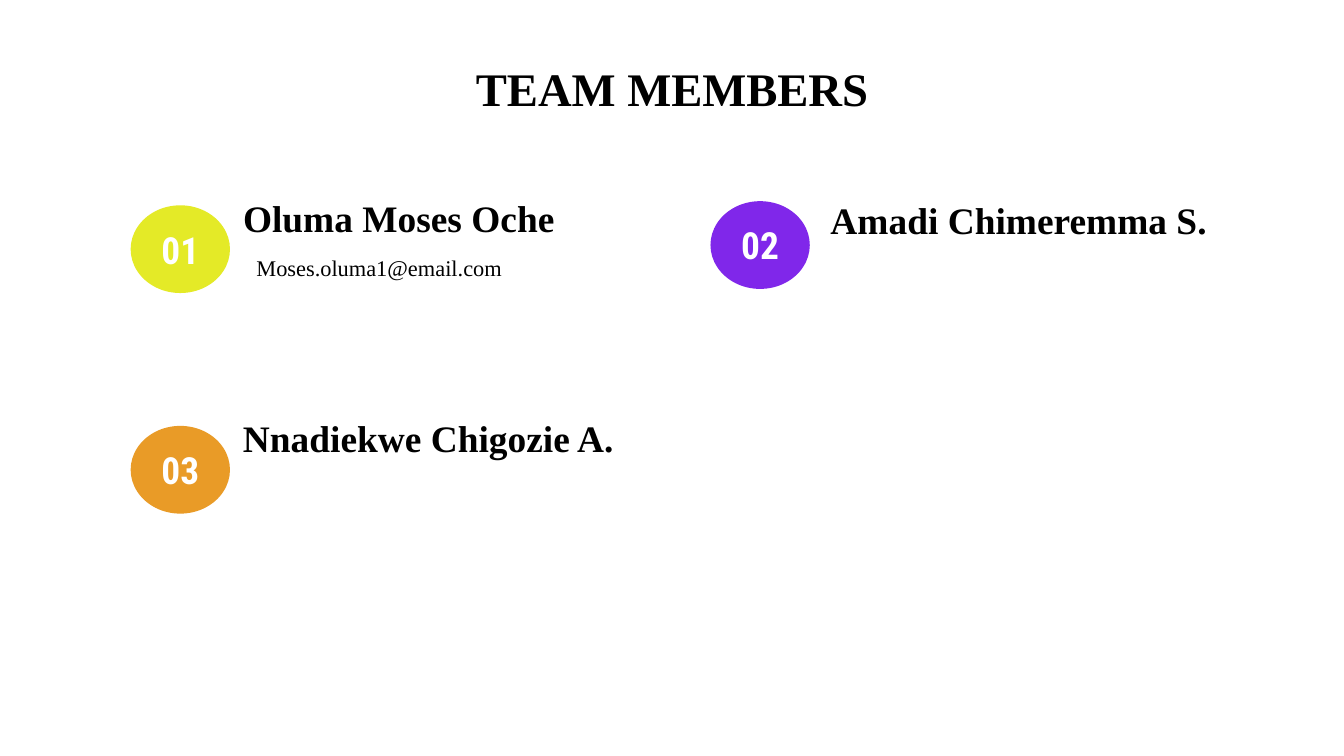
import dataclasses

import pptx
import pptx.dml.color
import pptx.enum.shapes
import pptx.enum.text
import pptx.util

Pt = pptx.util.Pt
Align = pptx.enum.text.PP_ALIGN


@dataclasses.dataclass(frozen=True)
class Theme:
    text_font: str = "Times New Roman"
    number_font: str = "Roboto Condensed"
    title_size: float = 25
    name_size: float = 20
    email_size: float = 12
    background: str = "FFFFFF"
    ink: str = "000000"
    number_ink: str = "FFFFFF"
    yellow: str = "E4EA27"
    purple: str = "8027EA"
    orange: str = "E99B27"
    inset: float = 7.2
    line_height: float = 26
    badge_width: float = 53.2
    badge_height: float = 47


def rgb(color):
    return pptx.dml.color.RGBColor.from_string(color)


class TeamSlide:
    def __init__(self, presentation, theme):
        self.theme = theme
        self.slide = presentation.slides.add_slide(presentation.slide_layouts[6])
        fill = self.slide.background.fill
        fill.solid()
        fill.fore_color.rgb = rgb(theme.background)

    def set_text(self, shape, text, font_name, size, color, bold, align):
        frame = shape.text_frame
        frame.margin_left = frame.margin_right = Pt(self.theme.inset)
        frame.margin_top = frame.margin_bottom = Pt(self.theme.inset)
        frame.vertical_anchor = pptx.enum.text.MSO_ANCHOR.MIDDLE
        frame.word_wrap = True
        paragraph = frame.paragraphs[0]
        paragraph.text = text
        paragraph.alignment = align
        font = paragraph.font
        font.name, font.size, font.bold = font_name, Pt(size), bold
        font.color.rgb = rgb(color)

    def text(self, shapes, text, left, top, width, height, size,
             bold=True, align=Align.LEFT):
        box = shapes.add_textbox(Pt(left), Pt(top), Pt(width), Pt(height))
        self.set_text(box, text, self.theme.text_font, size, self.theme.ink, bold, align)

    def title(self, text):
        self.text(self.slide.shapes, text, 36, 32.4, 648, 29.5,
                  self.theme.title_size, align=Align.CENTER)

    def badge(self, shapes, number, left, top, color):
        theme = self.theme
        oval = shapes.add_shape(
            pptx.enum.shapes.MSO_SHAPE.OVAL, Pt(left), Pt(top),
            Pt(theme.badge_width), Pt(theme.badge_height))
        oval.shadow.inherit = False
        oval.fill.solid()
        oval.fill.fore_color.rgb = rgb(color)
        oval.line.fill.background()
        self.set_text(oval, number, theme.number_font, theme.name_size,
                      theme.number_ink, True, Align.CENTER)
        oval.text_frame.word_wrap = False

    def member(self, number, color, badge_at, name, name_at, name_width, email=None):
        theme = self.theme
        shapes = self.slide.shapes.add_group_shape().shapes
        left, top = name_at
        self.badge(shapes, f"{number:02}", *badge_at, color)
        self.text(shapes, name, left, top, name_width, theme.line_height,
                  theme.name_size)
        if email:
            self.text(shapes, email, left + 7.2, top + 26.6, 156.2,
                      theme.line_height, theme.email_size, bold=False)


def main():
    presentation = pptx.Presentation()
    presentation.slide_width, presentation.slide_height = Pt(720), Pt(405)
    theme = Theme()
    team = TeamSlide(presentation, theme)

    # Heading
    team.title("TEAM MEMBERS")

    # Members: badge position, then name position and width
    team.member(1, theme.yellow, (70, 110), "Oluma Moses Oche",
                (123.1, 103.7), 195.8, "Moses.oluma1@email.com")
    team.member(2, theme.purple, (380.6, 107.8), "Amadi Chimeremma S.",
                (437.8, 104.6), 239)
    team.member(3, theme.orange, (70, 228.2), "Nnadiekwe Chigozie A.",
                (123.1, 221.4), 247.7)

    presentation.save("out.pptx")


if __name__ == "__main__":
    main()
